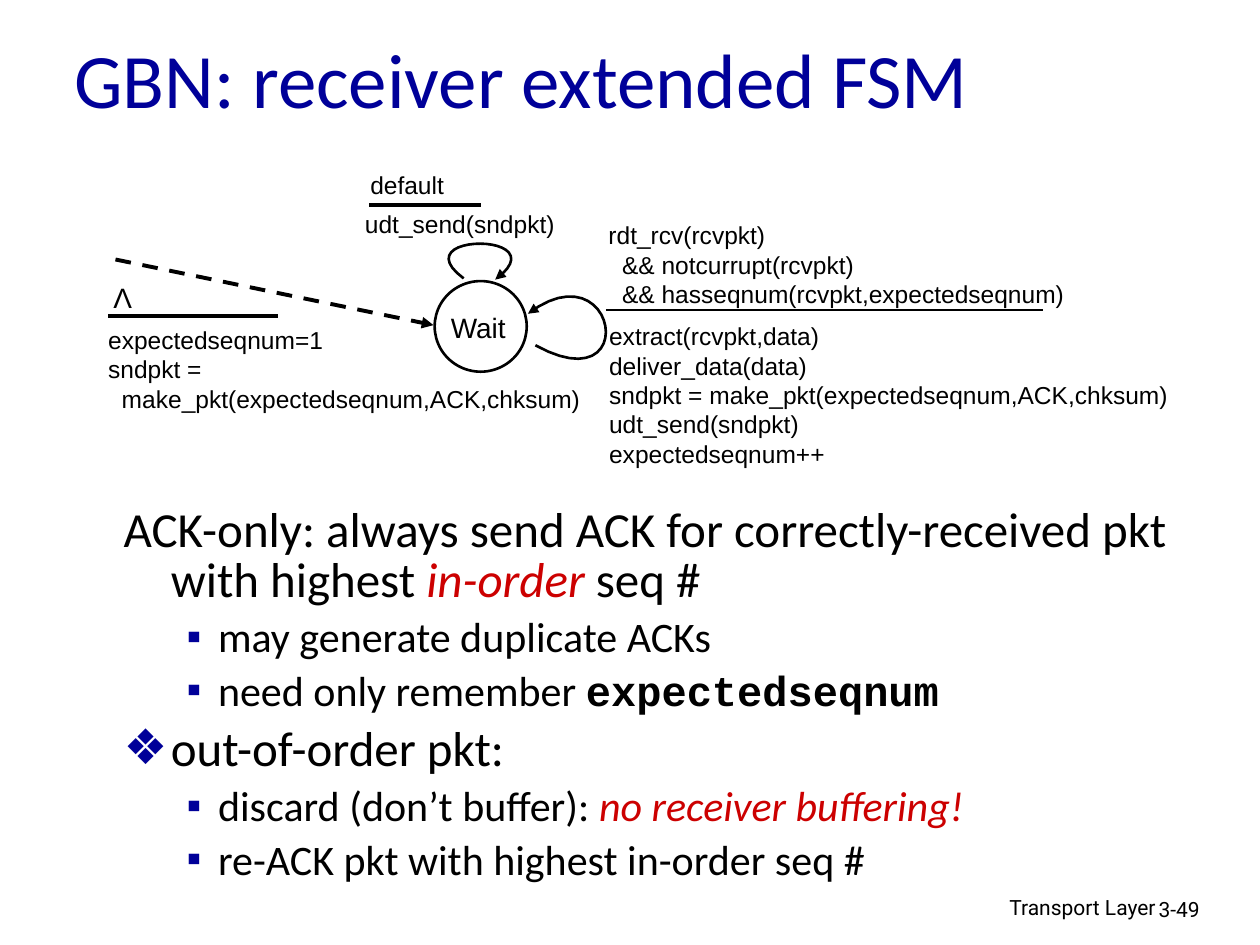
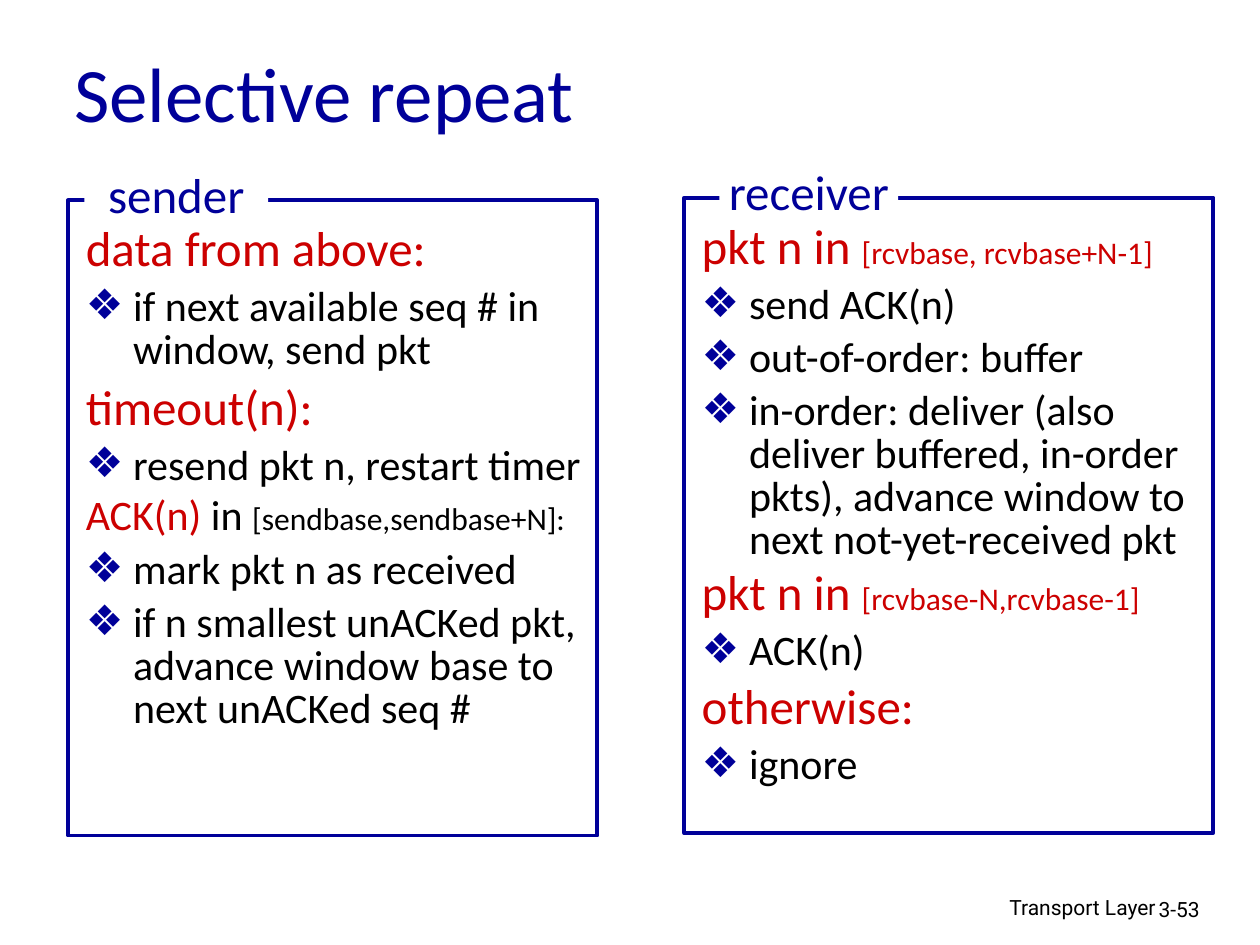
from dataclasses import dataclass
from typing import NamedTuple, Optional

from lxml.etree import SubElement
from pptx import Presentation
from pptx.dml.color import RGBColor as Rgb
from pptx.enum.dml import MSO_LINE as Dash
from pptx.enum.shapes import MSO_CONNECTOR as Link, MSO_SHAPE as Form
from pptx.enum.text import MSO_ANCHOR as Anchor, MSO_AUTO_SIZE as Fit, PP_ALIGN as Align
from pptx.oxml.ns import qn
from pptx.util import Pt

BLACK = Rgb(0, 0, 0)
WHITE = Rgb(255, 255, 255)
NAVY = Rgb(0, 0, 0x99)
RED = Rgb(0xCC, 0, 0)
SANS, CODE, PLAIN, FOOT = "Calibri", "Courier New", "Arial", "Roboto"
DIAMOND, SQUARE = "❖", "▪"
STEPS = 24


class Box(NamedTuple):
    x: float
    y: float
    w: float
    h: float

    def lengths(self) -> list:
        return [Pt(v) for v in self]


class Bit(NamedTuple):
    text: str
    size: Optional[float] = None
    color: Optional[Rgb] = None
    italic: Optional[bool] = None
    bold: Optional[bool] = None
    face: Optional[str] = None


@dataclass
class Para:
    bits: list
    size: float = 24
    color: Rgb = BLACK
    mark: str = ""
    level: int = 0
    space: float = 6


@dataclass
class Label:
    box: Box
    lines: list
    size: float = 14
    face: str = PLAIN
    color: Rgb = BLACK
    align: Align = Align.LEFT
    wrap: bool = True
    fill: Optional[Rgb] = None


class Stroke(NamedTuple):
    start: tuple
    end: tuple
    width: float = 2.25
    arrow: bool = False


class Panel(NamedTuple):
    frame: Box
    body: Box
    label: Label
    gap: Optional[Box]
    paras: list


def head(*bits: Bit, space: float = 7) -> Para:
    return Para(list(bits), 28, RED, space=space)


def item(text: str) -> Para:
    return Para([Bit(text)], mark=DIAMOND)


def sub(*bits: Bit) -> Para:
    return Para(list(bits), mark=SQUARE, level=1)


def style(font, size: float, color: Rgb, face: str) -> None:
    font.size, font.name = Pt(size), face
    font.color.rgb = color


def set_mark(para, mark: str, level: int) -> None:
    props = para._p.get_or_add_pPr()
    left, hang = (54, 18) if level else (27, 27)
    props.set("marL", str(Pt(left)))
    props.set("indent", str(-Pt(hang)))
    if not mark:
        SubElement(props, qn("a:buNone"))
        return
    tint = SubElement(props, qn("a:buClr"))
    SubElement(tint, qn("a:srgbClr")).set("val", str(NAVY))
    SubElement(props, qn("a:buChar")).set("char", mark)


def place(shape, box: Box) -> None:
    shape.left, shape.top, shape.width, shape.height = box.lengths()


def fill_body(shape, box: Box, paras: list) -> None:
    place(shape, box)
    frame = shape.text_frame
    frame.auto_size = Fit.NONE
    for n, data in enumerate(paras):
        para = frame.add_paragraph() if n else frame.paragraphs[0]
        para.level = data.level
        para.line_spacing = 0.85
        para.space_before = Pt(data.space if n else 0)
        set_mark(para, data.mark, data.level)
        style(para.font, data.size, data.color, SANS)
        for bit in data.bits:
            run = para.add_run()
            run.text = bit.text
            if bit.size:
                run.font.size = Pt(bit.size)
            if bit.color is not None:
                run.font.color.rgb = bit.color
            if bit.face:
                run.font.name = bit.face
            run.font.italic, run.font.bold = bit.italic, bit.bold


def add_label(slide, label: Label) -> None:
    shape = slide.shapes.add_textbox(*label.box.lengths())
    if label.fill is not None:
        shape.fill.solid()
        shape.fill.fore_color.rgb = label.fill
    frame = shape.text_frame
    frame.word_wrap = label.wrap
    for n, line in enumerate(label.lines):
        para = frame.add_paragraph() if n else frame.paragraphs[0]
        para.text, para.alignment = line, label.align
        style(para.font, label.size, label.color, label.face)


def set_line(shape, color: Rgb, width: float, arrow: bool = False) -> None:
    shape.line.color.rgb = color
    shape.line.width = Pt(width)
    if arrow:
        edge = shape.element.spPr.find(qn("a:ln"))
        SubElement(edge, qn("a:tailEnd")).set("type", "triangle")


def add_stroke(slide, stroke: Stroke) -> None:
    ends = [Pt(v) for v in stroke.start + stroke.end]
    line = slide.shapes.add_connector(Link.STRAIGHT, *ends)
    if stroke.arrow:
        line.line.dash_style = Dash.DASH
    set_line(line, BLACK, stroke.width, stroke.arrow)
    SubElement(line.element.spPr, qn("a:effectLst"))


def add_loop(slide, knots: list) -> None:
    def point(t: float) -> tuple:
        u = 1 - t
        rates = (u ** 3, 3 * u * u * t, 3 * u * t * t, t ** 3)
        return tuple(Pt(sum(r * k[axis] for r, k in zip(rates, knots))) for axis in (0, 1))

    points = [point(n / STEPS) for n in range(STEPS + 1)]
    pen = slide.shapes.build_freeform(*points[0])
    pen.add_line_segments(points[1:], close=False)
    loop = pen.convert_to_shape()
    loop.shadow.inherit = False
    loop.fill.background()
    set_line(loop, BLACK, 1.5, True)


def add_shape(slide, form: Form, box: Box, fill: Optional[Rgb], edge: Optional[Rgb], width: float = 0) -> None:
    shape = slide.shapes.add_shape(form, *box.lengths())
    shape.shadow.inherit = False
    if fill is None:
        shape.fill.background()
    else:
        shape.fill.solid()
        shape.fill.fore_color.rgb = fill
    if edge is None:
        shape.line.fill.background()
    else:
        set_line(shape, edge, width)


def new_slide(deck, layout: int, title: str, box: Box, number: str):
    slide = deck.slides.add_slide(deck.slide_layouts[layout])
    shape = slide.shapes.title
    place(shape, box)
    frame = shape.text_frame
    frame.auto_size, frame.vertical_anchor = Fit.NONE, Anchor.MIDDLE
    para = frame.paragraphs[0]
    para.text, para.alignment = title, Align.LEFT
    style(para.font, 44, NAVY, SANS)
    add_label(slide, Label(Box(439, 507.6, 228.5, 22), ["Transport Layer"], 12, FOOT, align=Align.RIGHT))
    add_label(slide, Label(Box(655, 509, 53.5, 22), [number], 12, FOOT))
    return slide


FACTS = [
    Para([Bit("ACK-only: always send ACK for correctly-received pkt with highest "),
          Bit("in-order", color=RED, italic=True), Bit(" seq #")], 28),
    sub(Bit("may generate duplicate ACKs")),
    sub(Bit("need only remember "), Bit("expectedseqnum", bold=True, face=CODE)),
    Para([Bit("out-of-order pkt:")], 28, mark=DIAMOND, space=7),
    sub(Bit("discard (don’t buffer): "), Bit("no receiver buffering!", color=RED, italic=True)),
    sub(Bit("re-ACK pkt with highest in-order seq #")),
]

NOTES = [
    Label(Box(242, 174.2, 62.5, 19), ["Wait"], 16, align=Align.CENTER),
    Label(Box(201.5, 116, 127.5, 24.5), ["udt_send(sndpkt)"]),
    Label(Box(204.5, 93.8, 57, 19.5), ["default"]),
    Label(Box(340.6, 122.4, 281, 44.6),
          ["rdt_rcv(rcvpkt)", "  && notcurrupt(rcvpkt)", "  && hasseqnum(rcvpkt,expectedseqnum)"]),
    Label(Box(341, 180, 340, 67.7),
          ["extract(rcvpkt,data)", "deliver_data(data)", "sndpkt = make_pkt(expectedseqnum,ACK,chksum)",
           "udt_send(sndpkt)", "expectedseqnum++"]),
    Label(Box(54.7, 182, 286.6, 77),
          ["expectedseqnum=1", "sndpkt =", "  make_pkt(expectedseqnum,ACK,chksum)"]),
    Label(Box(57.6, 157, 25, 26.6), ["Λ"], 16, align=Align.CENTER, wrap=False),
]

STROKES = [
    Stroke((66, 148.3), (247.7, 185.8), arrow=True),
    Stroke((211, 117.4), (275, 117.4)),
    Stroke((346.3, 177.1), (596.2, 177.1), 1.5),
    Stroke((62, 180.7), (159, 180.7)),
]

LOOPS = [
    [(306, 197.3), (367.2, 231.1), (352.8, 140.4), (301.7, 179.3)],
    [(265, 159.1), (229, 132.5), (320.4, 132.5), (283, 159.8)],
]

PANELS = [
    Panel(
        Box(38.9, 114.5, 302.4, 363), Box(41.8, 126, 300.2, 365.8),
        Label(Box(48.2, 90.7, 105.1, 41), ["sender"], 28, SANS, NAVY, Align.CENTER, False, WHITE),
        None,
        [
            head(Bit("data from above:")),
            item("if next available seq # in window, send pkt"),
            head(Bit("timeout(n):")),
            item("resend pkt n, restart timer"),
            Para([Bit("ACK(n)", color=RED), Bit(" in "), Bit("[sendbase,sendbase+N]:", 18)], space=4.5),
            item("mark pkt n as received"),
            item("if n smallest unACKed pkt, advance window base to next unACKed seq #"),
        ],
    ),
    Panel(
        Box(391, 113, 302.4, 363), Box(393.8, 124.6, 300.2, 365.8),
        Label(Box(402.5, 88.6, 119.5, 41), ["receiver"], 28, SANS, NAVY, Align.CENTER, False),
        Box(411.1, 102.2, 102.2, 22.3),
        [
            head(Bit("pkt n in "), Bit("[rcvbase, rcvbase+N-1]", 18)),
            item("send ACK(n)"),
            item("out-of-order: buffer"),
            item("in-order: deliver (also deliver buffered, in-order pkts), "
                 "advance window to next not-yet-received pkt"),
            head(Bit("pkt n in "), Bit("[rcvbase-N,rcvbase-1]", 18), space=4.5),
            item("ACK(n)"),
            head(Bit("otherwise:"), space=6),
            item("ignore"),
        ],
    ),
]


def draw_machine(deck) -> None:
    slide = new_slide(deck, 1, "GBN: receiver extended FSM", Box(35.3, 16.6, 612, 55.4), "3-49")
    fill_body(slide.placeholders[1], Box(63.4, 286.6, 641.5, 224.6), FACTS)
    add_shape(slide, Form.OVAL, Box(248.4, 160.6, 52.6, 51.8), WHITE, BLACK, 1.5)
    for stroke in STROKES:
        add_stroke(slide, stroke)
    for knots in LOOPS:
        add_loop(slide, knots)
    for note in NOTES:
        add_label(slide, note)


def draw_repeat(deck) -> None:
    slide = new_slide(deck, 3, "Selective repeat", Box(35.3, 19.4, 612, 66.2), "3-53")
    for n, panel in enumerate(PANELS, 1):
        fill_body(slide.placeholders[n], panel.body, panel.paras)
        add_shape(slide, Form.RECTANGLE, panel.frame, None, NAVY, 2.25)
        if panel.gap:
            add_shape(slide, Form.RECTANGLE, panel.gap, WHITE, None)
        add_label(slide, panel.label)


def main() -> None:
    deck = Presentation()
    deck.slide_width, deck.slide_height = Pt(720), Pt(540)
    draw_machine(deck)
    draw_repeat(deck)
    deck.save("out.pptx")


if __name__ == "__main__":
    main()
